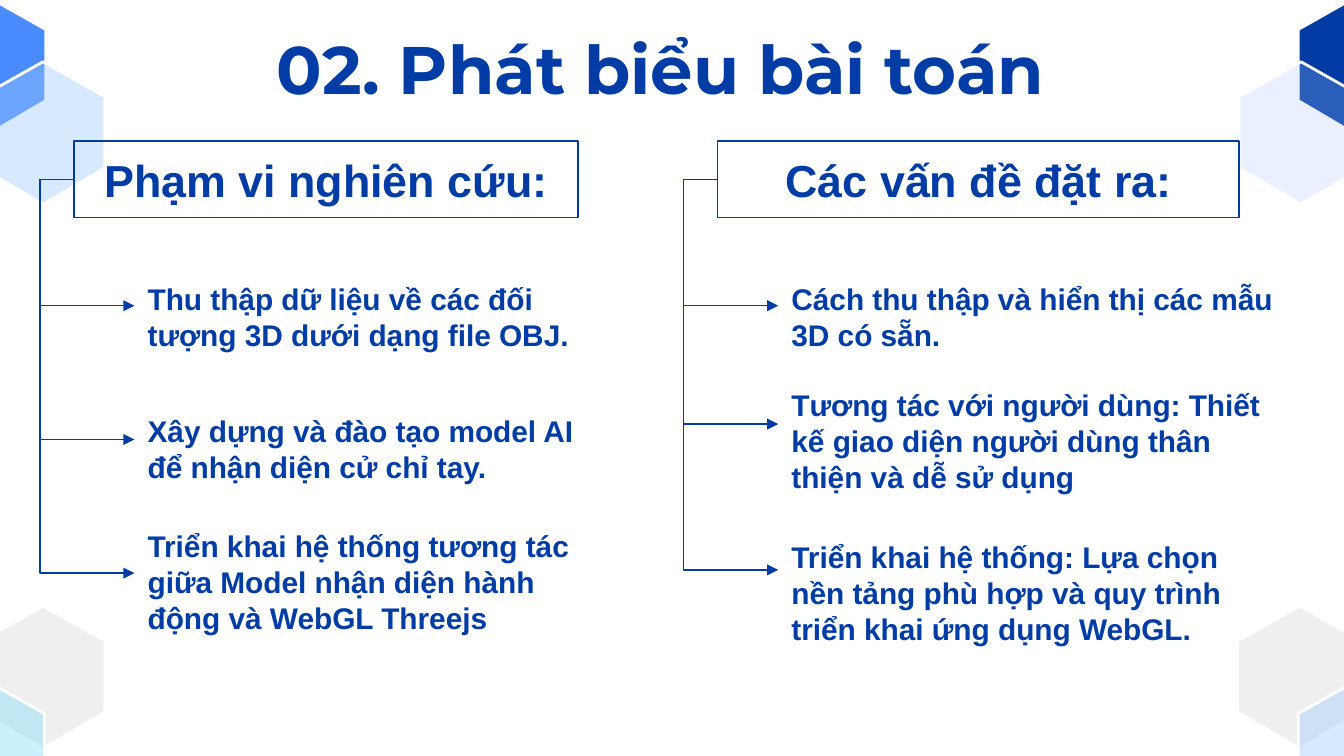
from pptx import Presentation
from pptx.dml.color import RGBColor
from pptx.enum.shapes import MSO_CONNECTOR as Link, MSO_SHAPE as Shape
from pptx.enum.text import MSO_ANCHOR as Anchor, PP_ALIGN as Align
from pptx.oxml.ns import qn
from pptx.util import Pt
from lxml.etree import SubElement as Sub

PX = 9144  # EMU in one px, 100 px to the inch

NAVY = RGBColor(0x00, 0x3B, 0xA3)
INK = RGBColor(0x00, 0x3C, 0xA5)
WHITE = RGBColor(0xFF, 0xFF, 0xFF)
GREY = RGBColor(0xEF, 0xEF, 0xEF)
CYAN = RGBColor(0x68, 0xDA, 0xF8)
LILAC = RGBColor(0xAF, 0xC7, 0xFF)
SKY = RGBColor(0x9F, 0xCB, 0xFD)
BLUE = RGBColor(0x4A, 0x8C, 0xFF)

# Left, top, colour and opacity in percent
HEXES = [
    (-14, 451, GREY, 100), (-59, 505, CYAN, 34),
    (966, -4, NAVY, 100), (922, 46, LILAC, 25),
    (921, 451, GREY, 100), (966, 505, SKY, 41),
    (-58, -4, BLUE, 100), (-14, 46, SKY, 41),
]
HEX_FORM = [(46, 0), (0, 26), (0, 79), (46, 106), (92, 79), (92, 26)]

HEAD_TOP, HEAD_HIGH = 105, 57
INDENT = 45  # from the heading's left edge to the items
BEND = -56100  # puts the trunk left of the heading

# Top, height and text of each item
SCOPE = [
    (199, 57, "Thu thập dữ liệu về các đối tượng 3D dưới dạng file OBJ."),
    (297, 60, "Xây dựng và đào tạo model AI để nhận diện cử chỉ tay."),
    (383, 87, "Triển khai hệ thống tương tác giữa Model nhận diện hành động và WebGL Threejs"),
]
ISSUES = [
    (199, 57, "Cách thu thập và hiển thị các mẫu 3D có sẵn."),
    (278, 75, "Tương tác với người dùng: Thiết kế giao diện người dùng thân thiện và dễ sử dụng"),
    (391, 66, "Triển khai hệ thống: Lựa chọn nền tảng phù hợp và quy trình triển khai ứng dụng WebGL."),
]


def px(*sizes):
    return [int(size * PX) for size in sizes]


def write(shape, text, size=16, font="Arial", align=Align.LEFT,
          anchor=Anchor.TOP, lead=None, after=None):
    frame = shape.text_frame
    frame.word_wrap = True
    frame.vertical_anchor = anchor
    frame.margin_left = frame.margin_right = 10 * PX
    frame.margin_top = frame.margin_bottom = 10 * PX
    para = frame.paragraphs[0]
    para.alignment = align
    if lead:
        para.line_spacing = Pt(lead)
    if after:
        para.space_after = Pt(after)
    run = para.add_run()
    run.text = text
    run.font.size, run.font.name, run.font.bold = Pt(size), font, True
    run.font.color.rgb = INK


def add_text(slide, box, text, **style):
    write(slide.shapes.add_textbox(*px(*box)), text, **style)


def add_hex(slide, left, top, color, alpha):
    first, *rest = [px(left + x, top + y) for x, y in HEX_FORM]
    form = slide.shapes.build_freeform(*first)
    form.add_line_segments(rest, close=True)
    shape = form.convert_to_shape()
    shape.shadow.inherit = False
    shape.fill.solid()
    shape.fill.fore_color.rgb = color
    shape.line.color.rgb = WHITE
    shape.line.width = Pt(1.5)
    if alpha < 100:
        tint = shape.fill._xPr.find(qn("a:solidFill"))[0]
        Sub(tint, qn("a:alpha"), val=str(alpha * 1000))


def add_head(slide, left, width, text):
    box = px(left, HEAD_TOP, width, HEAD_HIGH)
    shape = slide.shapes.add_shape(Shape.RECTANGLE, *box)
    shape.shadow.inherit = False
    shape.fill.background()
    shape.line.color.rgb = NAVY
    shape.line.width = Pt(0.75)
    write(shape, text, size=24, align=Align.CENTER, anchor=Anchor.MIDDLE)


def add_arrow(slide, left, end):
    start = HEAD_TOP + HEAD_HIGH / 2
    ends = px(left, start, left + INDENT, end)
    link = slide.shapes.add_connector(Link.ELBOW, *ends)
    link.line.color.rgb = NAVY
    link.line.width = Pt(0.75)
    Sub(link.line._get_or_add_ln(), qn("a:tailEnd"), type="triangle")
    props = link._element.spPr
    Sub(props, qn("a:effectLst"))
    guides = props.find(qn("a:prstGeom")).find(qn("a:avLst"))
    Sub(guides, qn("a:gd"), name="adj1", fmla=f"val {BEND}")


def add_tree(slide, left, head, wide, items, span):
    for top, high, text in items:
        add_text(slide, (left + INDENT, top, span, high), text)
    add_head(slide, left, wide, head)
    for top, high, _ in items:
        add_arrow(slide, left, top + high / 2)


def main():
    deck = Presentation()
    deck.slide_width = 1000 * PX
    deck.slide_height = deck.slide_width * 9 // 16
    slide = deck.slides.add_slide(deck.slide_layouts[6])

    # Corner hexagons
    for cell in HEXES:
        add_hex(slide, *cell)

    # Title
    add_text(slide, (69, 0, 845, 67), "02. Phát biểu bài toán", size=36,
             font="Montserrat", align=Align.CENTER, anchor=Anchor.MIDDLE,
             lead=67.2, after=6)

    # Two trees of items
    add_tree(slide, 55, "Phạm vi nghiên cứu:", 375, SCOPE, 368)
    add_tree(slide, 534, "Các vấn đề đặt ra:", 388, ISSUES, 381)

    deck.save("out.pptx")


if __name__ == "__main__":
    main()
